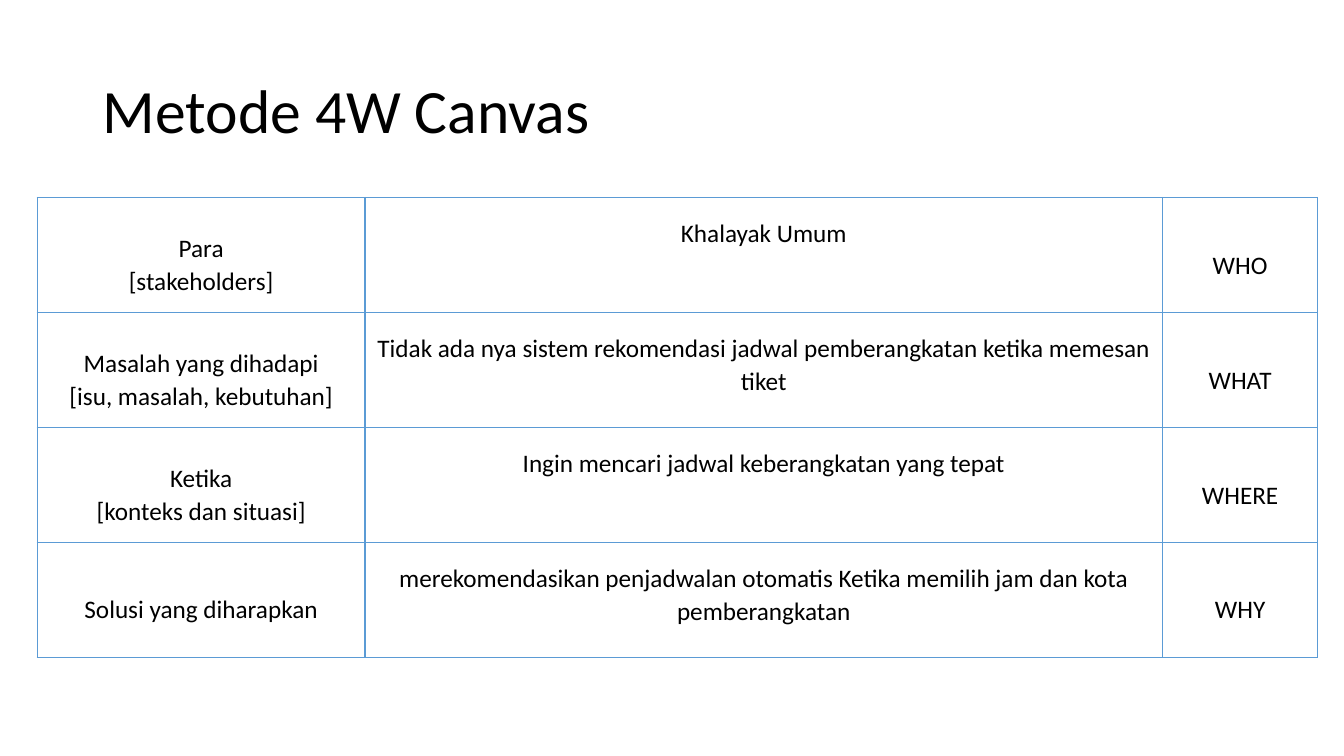
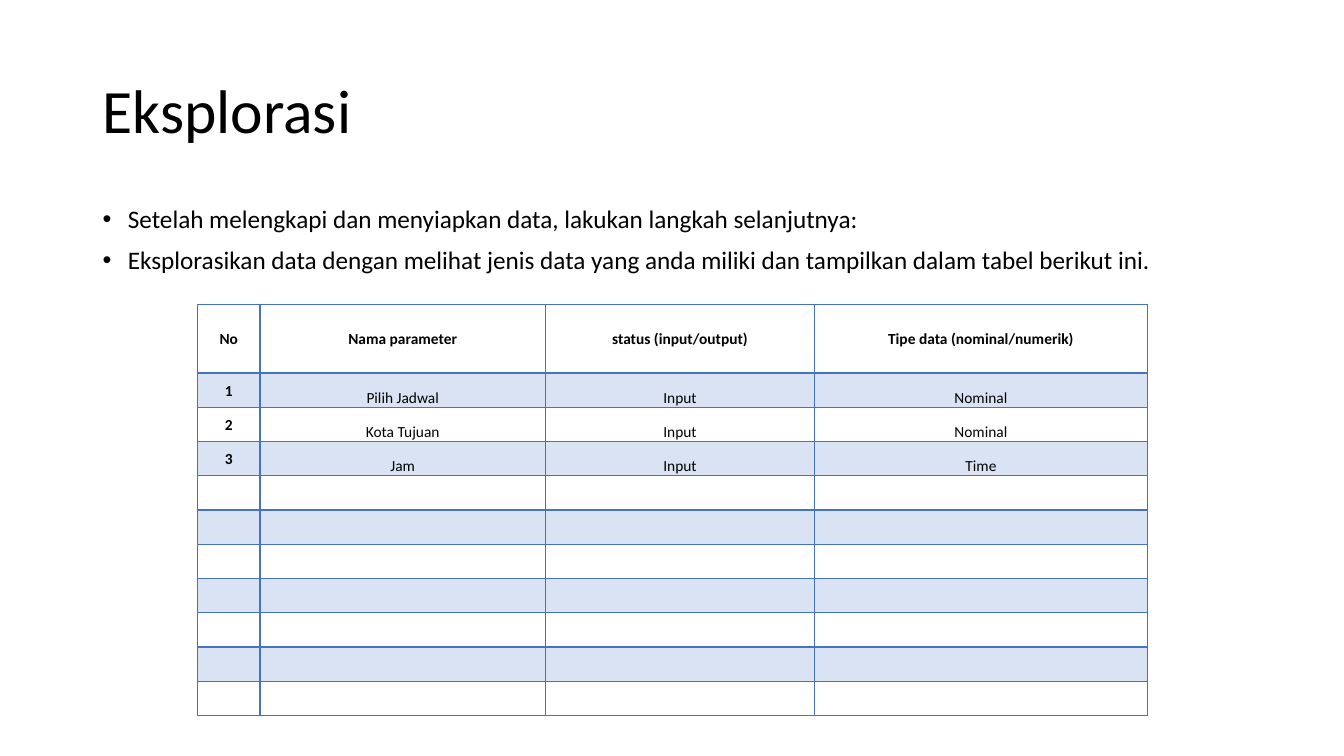
from lxml import etree
from pptx import Presentation, util as u
from pptx.dml.color import RGBColor
from pptx.enum import text
from pptx.oxml import ns

PX = 9144  # EMU per px, 100 px to the inch
FONT = "Calibri"
BLACK = RGBColor(0x00, 0x00, 0x00)
CANVAS_LINE = RGBColor(0x5B, 0x9B, 0xD5)
DATA_LINE = RGBColor(0x44, 0x72, 0xC4)
BAND = RGBColor(0xDA, 0xE3, 0xF3)

MIDDLE = text.MSO_ANCHOR.MIDDLE
TOP = text.MSO_ANCHOR.TOP
BOTTOM = text.MSO_ANCHOR.BOTTOM

CANVAS_ROWS = [
    ("Para\v[stakeholders]", "Khalayak Umum", "WHO"),
    ("Masalah yang dihadapi\v[isu, masalah, kebutuhan]",
     "Tidak ada nya sistem rekomendasi jadwal pemberangkatan ketika memesan tiket",
     "WHAT"),
    ("Ketika\v[konteks dan situasi]",
     "Ingin mencari jadwal keberangkatan yang tepat", "WHERE"),
    ("Solusi yang diharapkan",
     "merekomendasikan penjadwalan otomatis Ketika memilih jam dan kota pemberangkatan",
     "WHY"),
]
BULLETS = [
    "Setelah melengkapi dan menyiapkan data, lakukan langkah selanjutnya:",
    "Eksplorasikan data dengan melihat jenis data yang anda miliki "
    "dan tampilkan dalam tabel berikut ini.",
]
PARAMETER_ROWS = [
    ("No", "Nama parameter", "status (input/output)", "Tipe data (nominal/numerik)"),
    ("1", "Pilih Jadwal", "Input", "Nominal"),
    ("2", "Kota Tujuan", "Input", "Nominal"),
    ("3", "Jam", "Input", "Time"),
] + [("", "", "", "")] * 7


def px(*lengths):
    return [u.Emu(length * PX) for length in lengths]


def format_paragraph(paragraph, size, line_spacing, bold=False):
    paragraph.line_spacing = line_spacing
    for run in paragraph.runs:
        run.font.name = FONT
        run.font.size = u.Pt(size)
        run.font.bold = bold
        run.font.color.rgb = BLACK


def add_text_frame(slide, left, top, width, height, anchor):
    frame = slide.shapes.add_textbox(*px(left, top, width, height)).text_frame
    frame.word_wrap = True
    frame.vertical_anchor = anchor
    return frame


def add_titled_slide(presentation, title):
    slide = presentation.slides.add_slide(presentation.slide_layouts[6])
    frame = add_text_frame(slide, 92, 40, 1150, 145, MIDDLE)
    frame.text = title
    format_paragraph(frame.paragraphs[0], 44, 0.9)
    return slide


def add_bullets(slide, lines):
    frame = add_text_frame(slide, 92, 200, 1150, 476, TOP)
    frame.text = "\n".join(lines)
    for paragraph in frame.paragraphs:
        format_paragraph(paragraph, 18, 0.9)
        paragraph.space_before = u.Pt(10)
        properties = paragraph._p.get_or_add_pPr()
        properties.set("marL", str(25 * PX))
        properties.set("indent", str(-25 * PX))
        etree.SubElement(properties, ns.qn("a:buFont"), typeface="Arial")
        etree.SubElement(properties, ns.qn("a:buChar"), char="•")


def set_borders(cell, color, bottom_width=1):
    """Draw all four edges; they must come before the fill in the cell properties."""
    properties = cell._tc.get_or_add_tcPr()
    widths = {"lnL": 1, "lnR": 1, "lnT": 1, "lnB": bottom_width}
    for index, (edge, width) in enumerate(widths.items()):
        line = etree.Element(ns.qn(f"a:{edge}"), w=str(u.Pt(width)))
        fill = etree.SubElement(line, ns.qn("a:solidFill"))
        etree.SubElement(fill, ns.qn("a:srgbClr"), val=str(color))
        properties.insert(index, line)


def add_plain_table(slide, left, top, column_widths, row_heights):
    """Add a table without the banded style's row and column emphasis."""
    frame = slide.shapes.add_table(
        len(row_heights), len(column_widths),
        *px(left, top, sum(column_widths), sum(row_heights)))
    table = frame.table
    table.first_row = table.horz_banding = False
    for column, width in zip(table.columns, px(*column_widths)):
        column.width = width
    for row, height in zip(table.rows, px(*row_heights)):
        row.height = height
    return table


def fill_cell(cell, content, size, anchor, margins, bold=False, band=None):
    cell.text = content
    cell.vertical_anchor = anchor
    side, top = px(*margins)
    cell.margin_left = cell.margin_right = side
    cell.margin_top, cell.margin_bottom = top, 0
    if band is None:
        cell.fill.background()
    else:
        cell.fill.solid()
        cell.fill.fore_color.rgb = band
    paragraph = cell.text_frame.paragraphs[0]
    paragraph.alignment = text.PP_ALIGN.CENTER
    format_paragraph(paragraph, size, 1.07, bold)


def add_canvas_table(slide):
    table = add_plain_table(slide, 37, 196, [325, 791, 154], [114] * len(CANVAS_ROWS))
    for row, contents in enumerate(CANVAS_ROWS):
        for column, content in enumerate(contents):
            cell = table.cell(row, column)
            fill_cell(cell, content, 18, TOP if column == 1 else MIDDLE, (1, 19))
            set_borders(cell, CANVAS_LINE)


def add_parameter_table(slide):
    heights = [68] + [34] * (len(PARAMETER_ROWS) - 1)
    table = add_plain_table(slide, 196, 302, [62, 283, 267, 330], heights)
    for row, contents in enumerate(PARAMETER_ROWS):
        for column, content in enumerate(contents):
            cell = table.cell(row, column)
            heading = row == 0 or column == 0
            fill_cell(cell, content, 11, MIDDLE if heading else BOTTOM, (7, 0),
                      bold=heading, band=BAND if row % 2 else None)
            set_borders(cell, DATA_LINE, bottom_width=2 if row == 0 else 1)


def main():
    presentation = Presentation()
    presentation.slide_width, presentation.slide_height = px(1333, 750)

    add_canvas_table(add_titled_slide(presentation, "Metode 4W Canvas"))

    exploration = add_titled_slide(presentation, "Eksplorasi")
    add_bullets(exploration, BULLETS)
    add_parameter_table(exploration)

    presentation.save("out.pptx")


if __name__ == "__main__":
    main()
